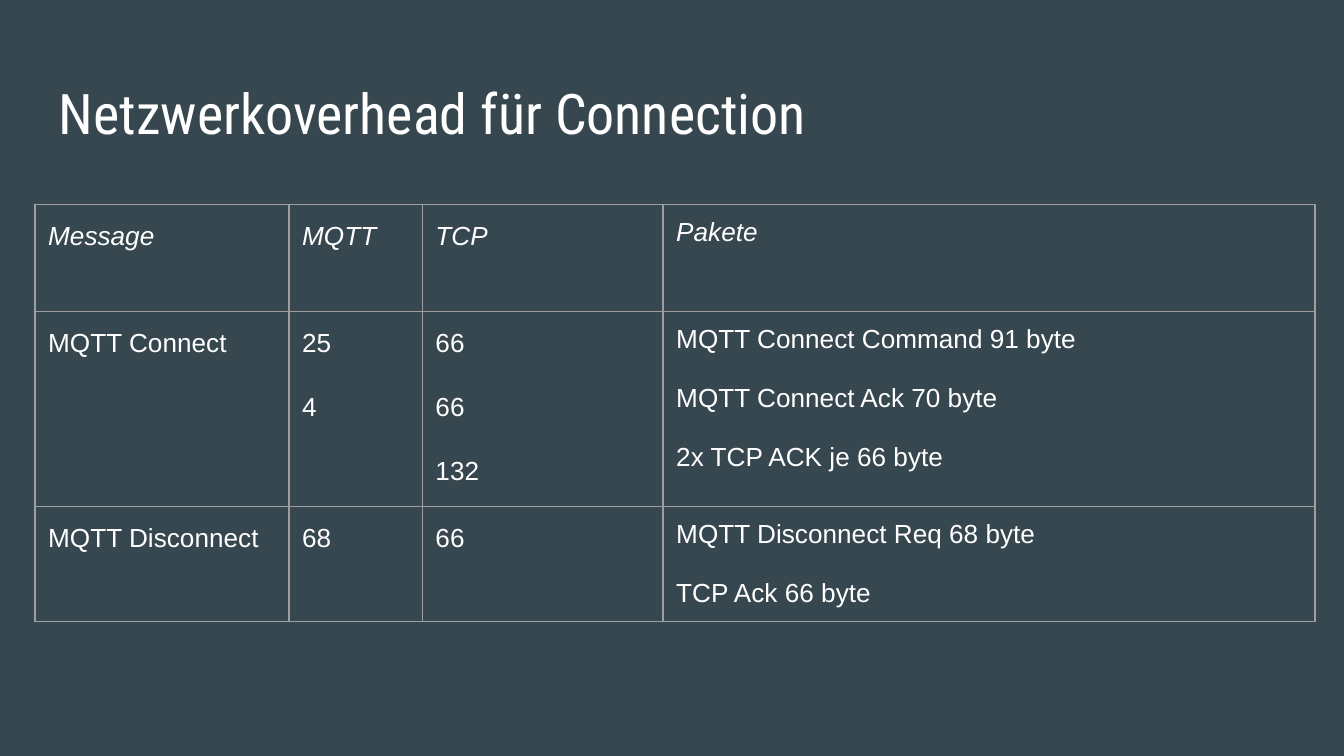
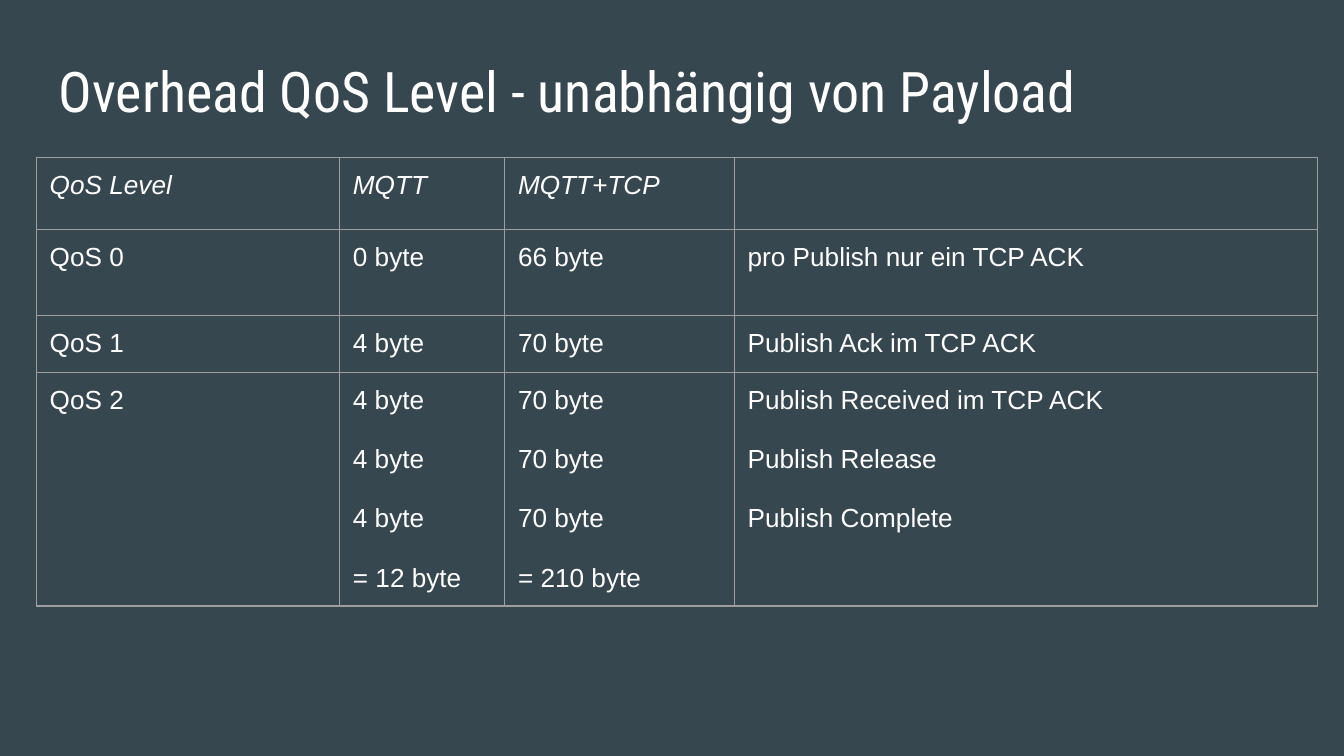
from lxml.etree import SubElement
from pptx import Presentation
from pptx.dml.color import RGBColor
from pptx.enum.text import MSO_ANCHOR, MSO_AUTO_SIZE, PP_ALIGN
from pptx.oxml.ns import qn
from pptx.util import Cm, Pt

# Shared look
BACKGROUND, TEXT, BORDER = "37474F", "FFFFFF", "9E9E9E"
TITLE_FONT = {"name": "Roboto Condensed", "size": Pt(30)}
CELL_FONT = {"name": "Arial", "size": Pt(14), "bold": False}
INSET = Cm(0.25)
INSETS = {f"margin_{side}": INSET for side in ("left", "right", "top", "bottom")}
PARAGRAPH_GAP = Pt(16)
TITLE_ONLY = 5


def color(hex_value):
    return RGBColor.from_string(hex_value)


def apply(target, formats):
    for attribute, value in formats.items():
        setattr(target, attribute, value)


def style_font(font, formats):
    apply(font, formats)
    font.color.rgb = color(TEXT)


def add_titled_slide(prs, heading, top):
    slide = prs.slides.add_slide(prs.slide_layouts[TITLE_ONLY])
    title = slide.shapes.title
    apply(title, {"left": Cm(0.86), "top": Cm(top),
                  "width": Cm(23.67), "height": Cm(1.6)})
    frame = title.text_frame
    apply(frame, {**INSETS, "word_wrap": True, "auto_size": MSO_AUTO_SIZE.NONE,
                  "vertical_anchor": MSO_ANCHOR.TOP})
    paragraph = frame.paragraphs[0]
    paragraph.alignment = PP_ALIGN.LEFT
    run = paragraph.add_run()
    run.text = heading
    style_font(run.font, TITLE_FONT)
    return slide


def add_borders(cell):
    properties = cell._tc.get_or_add_tcPr()
    for position, edge in enumerate(("lnL", "lnR", "lnT", "lnB")):
        line = properties.makeelement(qn(f"a:{edge}"), {"w": str(Pt(0.75))})
        fill = SubElement(line, qn("a:solidFill"))
        SubElement(fill, qn("a:srgbClr"), val=BORDER)
        properties.insert(position, line)


def fill_cell(cell, content, line_spacing, italic):
    """Write each line of the content as a paragraph of its own."""
    apply(cell, {**INSETS, "vertical_anchor": MSO_ANCHOR.TOP})
    cell.fill.background()
    add_borders(cell)
    if not content:
        return
    lines = content.split("\n")
    frame = cell.text_frame
    for index, line in enumerate(lines):
        paragraph = frame.add_paragraph() if index else frame.paragraphs[0]
        apply(paragraph, {
            "line_spacing": line_spacing,
            "space_before": PARAGRAPH_GAP if index else Pt(0),
            "space_after": PARAGRAPH_GAP if index == len(lines) - 1 else Pt(0),
        })
        run = paragraph.add_run()
        run.text = line
        style_font(run.font, {**CELL_FONT, "italic": italic})


def add_overhead_table(slide, left, top, widths, heights, rows, spacings):
    table = slide.shapes.add_table(
        len(rows), len(widths), Cm(left), Cm(top),
        Cm(sum(widths)), Cm(sum(heights))).table
    apply(table, {"first_row": False, "horz_banding": False})
    for column, width in zip(table.columns, widths):
        column.width = Cm(width)
    for row_index, (row, height) in enumerate(zip(rows, heights)):
        table.rows[row_index].height = Cm(height)
        for column_index, content in enumerate(row):
            fill_cell(table.cell(row_index, column_index), content,
                      spacings[column_index], italic=row_index == 0)


def main():
    prs = Presentation()
    prs.slide_width, prs.slide_height = Cm(25.4), Cm(14.29)
    backdrop = prs.slide_master.background.fill
    backdrop.solid()
    backdrop.fore_color.rgb = color(BACKGROUND)

    # Connection overhead
    connection = add_titled_slide(prs, "Netzwerkoverhead für Connection", 1.24)
    add_overhead_table(
        connection, 0.66, 3.86,
        widths=(4.8, 2.52, 4.55, 12.32),
        heights=(2.03, 3.68, 1.07),
        rows=(
            ("Message", "MQTT", "TCP", "Pakete"),
            ("MQTT Connect", "25\n4", "66\n66\n132",
             "MQTT Connect Command 91 byte\nMQTT Connect Ack 70 byte\n"
             "2x TCP ACK je 66 byte"),
            ("MQTT Disconnect", "68", "66",
             "MQTT Disconnect Req 68 byte\nTCP Ack 66 byte"),
        ),
        spacings=(1.15, 1.15, 1.15, 1.0))

    # Overhead per QoS level
    qos = add_titled_slide(prs, "Overhead QoS Level - unabhängig von Payload", 0.81)
    add_overhead_table(
        qos, 0.69, 2.97,
        widths=(5.73, 3.12, 4.34, 11.02),
        heights=(1.37, 1.63, 1.07, 1.07),
        rows=(
            ("QoS Level", "MQTT", "MQTT+TCP", ""),
            ("QoS 0", "0 byte", "66 byte", "pro Publish nur ein TCP ACK"),
            ("QoS 1", "4 byte", "70 byte", "Publish Ack im TCP ACK"),
            ("QoS 2", "4 byte\n4 byte\n4 byte\n= 12 byte",
             "70 byte\n70 byte\n70 byte\n= 210 byte",
             "Publish Received im TCP ACK\nPublish Release\nPublish Complete"),
        ),
        spacings=(1.0,) * 4)

    prs.save("out.pptx")


if __name__ == "__main__":
    main()
